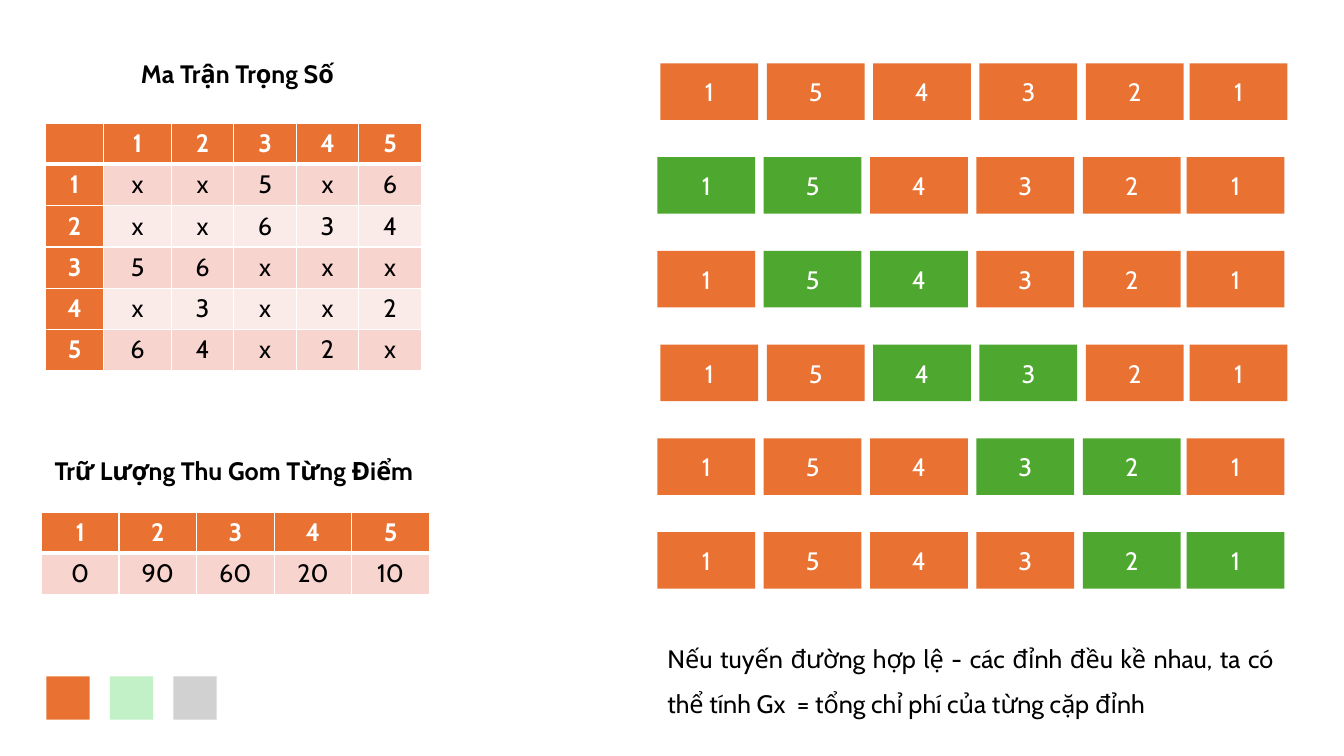
import pptx
import pptx.dml.color
import pptx.enum.shapes
import pptx.enum.text
import pptx.oxml.ns
import pptx.util
from lxml import etree

# Content
ORANGE, GREEN, WHITE, BLACK = "E97132", "4EA72E", "FFFFFF", "000000"
BANDS = ("F7D5CE", "FBEBE8")
FONT, TEXT_SIZE = "Cabin", 18

WEIGHT_TITLE = "Ma Trận Trọng Số"
WEIGHTS = [
    ["", "1", "2", "3", "4", "5"],
    ["1", "x", "x", "5", "x", "6"],
    ["2", "x", "x", "6", "3", "4"],
    ["3", "5", "6", "x", "x", "x"],
    ["4", "x", "3", "x", "x", "2"],
    ["5", "6", "4", "x", "2", "x"],
]
VOLUME_TITLE = "Trữ Lượng Thu Gom Từng Điểm"
VOLUMES = [["1", "2", "3", "4", "5"], ["0", "90", "60", "20", "10"]]
ROUTE = ["1", "5", "4", "3", "2", "1"]
NOTE = ("Nếu tuyến đường hợp lệ - các đỉnh đều kề nhau, ta có "
        "thể tính Gx  = tổng chỉ phí của từng cặp đỉnh")
SWATCHES = [ORANGE, "C2F1C8", "D1D1D1"]

# Layout in inches
SLIDE_SIZE = (13.33, 7.5)
ROUTE_LEFTS = [6.55, 6.52, 6.52, 6.55, 6.52, 6.52]
ROUTE_TOP, ROUTE_PITCH = 0.63, 0.93
STOP_WIDTH, STOP_HEIGHT, STOP_PITCH = 0.97, 0.56, 4.22 / 4
LAST_STOP_OFFSET = 5.25
SWATCH_LEFT, SWATCH_TOP, SWATCH_SIZE, SWATCH_PITCH = 0.46, 6.71, 0.43, 0.63

ALIGN = pptx.enum.text.PP_ALIGN
inches = pptx.util.Inches


def color(hex_string):
    return pptx.dml.color.RGBColor.from_string(hex_string)


def write(frame, text, ink, bold=False, align=ALIGN.CENTER):
    paragraph = frame.paragraphs[0]
    paragraph.alignment = align
    if text:
        run = paragraph.add_run()
        run.text = text
        run.font.name = FONT
        run.font.size = pptx.util.Pt(TEXT_SIZE)
        run.font.bold = bold
        run.font.color.rgb = color(ink)
    return paragraph


def add_text(slide, box, text, bold=False, align=ALIGN.CENTER):
    frame = slide.shapes.add_textbox(*map(inches, box)).text_frame
    frame.word_wrap = True
    frame.auto_size = pptx.enum.text.MSO_AUTO_SIZE.SHAPE_TO_FIT_TEXT
    return write(frame, text, BLACK, bold, align)


def add_block(shapes, box, fill, text=""):
    shape = shapes.add_shape(
        pptx.enum.shapes.MSO_SHAPE.RECTANGLE, *map(inches, box))
    shape.shadow.inherit = False
    shape.fill.solid()
    shape.fill.fore_color.rgb = color(fill)
    shape.line.fill.background()
    shape.text_frame.vertical_anchor = pptx.enum.text.MSO_ANCHOR.MIDDLE
    write(shape.text_frame, text, WHITE)


def set_borders(cell, widths):
    properties = cell._tc.get_or_add_tcPr()
    for index, (side, points) in enumerate(widths.items()):
        line = etree.Element(pptx.oxml.ns.qn(f"a:ln{side}"),
                             w=str(pptx.util.Pt(points)))
        fill = etree.SubElement(line, pptx.oxml.ns.qn("a:solidFill"))
        etree.SubElement(fill, pptx.oxml.ns.qn("a:srgbClr"), val=WHITE)
        properties.insert(index, line)


def add_grid(slide, left, top, widths, heights, rows, row_headers=False):
    table = slide.shapes.add_table(
        len(rows), len(widths), inches(left), inches(top),
        inches(sum(widths)), inches(sum(heights))).table
    for column, width in zip(table.columns, widths):
        column.width = inches(width)
    for r, (values, height) in enumerate(zip(rows, heights)):
        table.rows[r].height = inches(height)
        for c, value in enumerate(values):
            cell = table.cell(r, c)
            header = r == 0 or (row_headers and c == 0)
            cell.fill.solid()
            cell.fill.fore_color.rgb = color(
                ORANGE if header else BANDS[(r - 1) % 2])
            write(cell.text_frame, value, WHITE if header else BLACK, header)
            # A thick rule separates the header row from the body
            set_borders(cell, {"L": 1, "R": 1, "T": 3 if r == 1 else 1,
                               "B": 3 if r == 0 else 1})


def main():
    presentation = pptx.Presentation()
    presentation.slide_width, presentation.slide_height = map(
        inches, SLIDE_SIZE)
    slide = presentation.slides.add_slide(presentation.slide_layouts[6])

    # Colour swatches
    for index, fill in enumerate(SWATCHES):
        add_block(slide.shapes,
                  (SWATCH_LEFT + index * SWATCH_PITCH, SWATCH_TOP,
                   SWATCH_SIZE, SWATCH_SIZE), fill)

    # Tables and their titles
    add_grid(slide, 0.45, 1.22, [0.58, 0.67] + [0.62] * 4, [0.41] * 6,
             WEIGHTS, row_headers=True)
    add_grid(slide, 0.41, 5.08, [0.77] * 5, [0.4, 0.41], VOLUMES)
    add_text(slide, (1.3, 0.53, 2.39, 0.4), WEIGHT_TITLE, True, ALIGN.LEFT)
    add_text(slide, (-0.28, 4.47, 5.2, 0.4), VOLUME_TITLE, True)

    # Routes: each row after the first marks the next pair of stops
    for step, left in enumerate(ROUTE_LEFTS):
        group = slide.shapes.add_group_shape()
        for index, stop in enumerate(ROUTE):
            offset = min(index * STOP_PITCH, LAST_STOP_OFFSET)
            active = step > 0 and index in (step - 1, step)
            add_block(group.shapes,
                      (left + offset, ROUTE_TOP + step * ROUTE_PITCH,
                       STOP_WIDTH, STOP_HEIGHT),
                      GREEN if active else ORANGE, stop)

    # Closing note
    note = add_text(slide, (6.52, 6.18, 6.21, 0.97), NOTE,
                    align=ALIGN.JUSTIFY)
    note.line_spacing = 1.5

    presentation.save("out.pptx")


if __name__ == "__main__":
    main()
